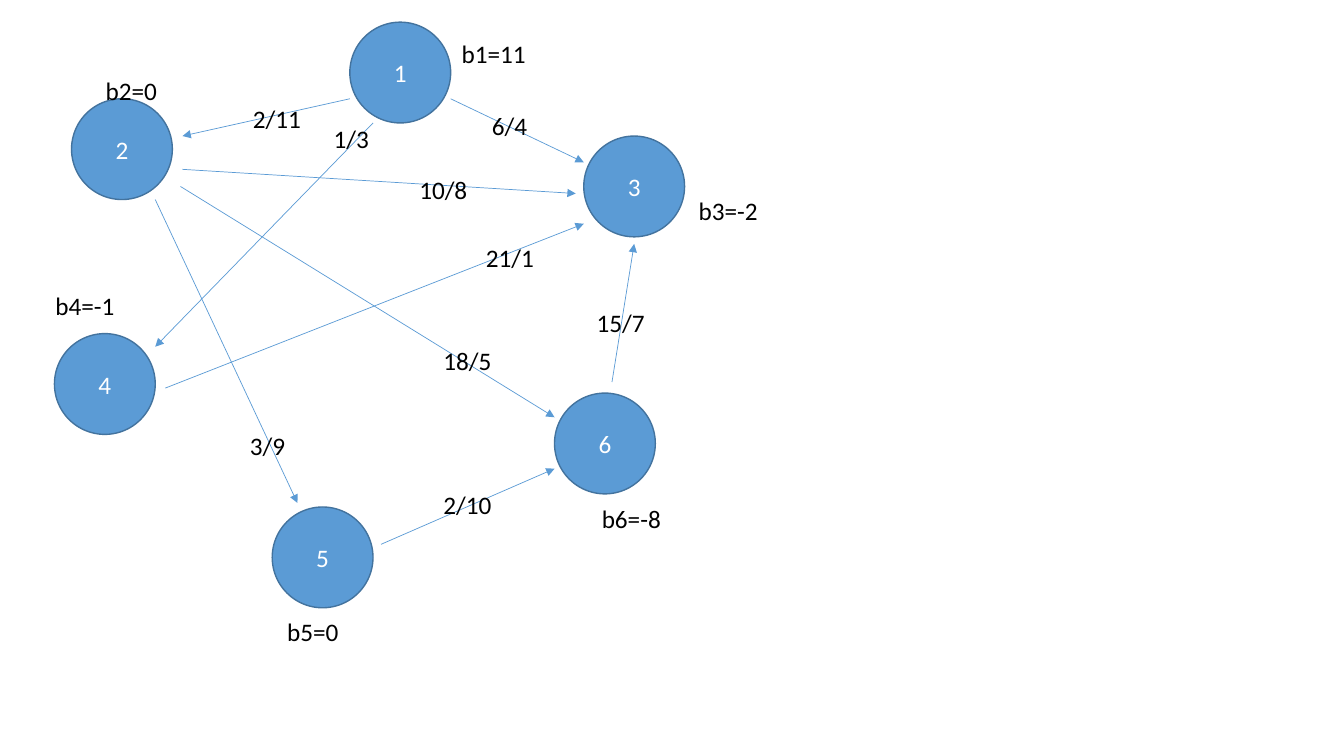
from pptx import Presentation
from pptx.dml.color import RGBColor
from pptx.enum.shapes import MSO_CONNECTOR, MSO_SHAPE
from pptx.enum.text import MSO_ANCHOR, MSO_AUTO_SIZE, PP_ALIGN
from pptx.oxml.ns import qn
from pptx.util import Inches, Pt
from lxml import etree

ELLIPSE, STRAIGHT = MSO_SHAPE.OVAL, MSO_CONNECTOR.STRAIGHT
MIDDLE, CENTER = MSO_ANCHOR.MIDDLE, PP_ALIGN.CENTER
FIT_SHAPE = MSO_AUTO_SIZE.SHAPE_TO_FIT_TEXT
BLUE, OUTLINE, WHITE, BLACK = "5B9BD5", "43739E", "FFFFFF", "000000"
NODE_SIZE, LABEL_HEIGHT = 1, 0.4

# Positions are in inches from the network's top left corner
# Node: number, left, top, balance, then label left, top, width
NODES = [
    ("2", 0.26, 0.76, "b2=0", 0.5, 0.48, 0.72),
    ("6", 5.05, 3.68, "b6=-8", 5.42, 4.72, 0.79),
    ("5", 2.25, 4.81, "b5=0", 2.3, 5.85, 0.72),
    ("4", 0.09, 3.09, "b4=-1", 0, 2.61, 0.79),
    ("3", 5.34, 1.13, "b3=-2", 6.38, 1.67, 0.79),
    ("1", 3.02, 0, "b1=11", 4.03, 0.11, 0.85),
]
# Edge: start, end, cost/capacity, then label left, top, width
EDGES = [
    ((3.02, 0.76), (1.36, 1.13), "2/11", 1.96, 0.76, 0.68),
    ((3.25, 1), (1.09, 3.22), "1/3", 2.76, 0.95, 0.56),
    ((4.02, 0.76), (5.34, 1.39), "6/4", 4.33, 0.83, 0.56),
    ((1.36, 1.46), (5.26, 1.7), "10/8", 3.61, 1.46, 0.68),
    ((1.09, 1.76), (2.5, 4.77), "3/9", 1.93, 4, 0.56),
    ((1.34, 1.63), (5.05, 3.92), "18/5", 3.85, 3.16, 0.68),
    ((1.19, 3.63), (5.34, 2), "21/1", 4.27, 2.13, 0.68),
    ((3.33, 5.18), (5.05, 4.43), "2/10", 3.85, 4.59, 0.68),
    ((5.62, 3.57), (5.84, 2.2), "15/7", 5.37, 2.78, 0.68),
]


def rgb(value):
    return RGBColor.from_string(value)


def write(tf, text, color):
    p = tf.paragraphs[0]
    p.text = text
    p.font.name, p.font.size = "Calibri", Pt(18)
    p.font.color.rgb = rgb(color)
    return p


def add_node(s, number, left, top):
    node = s.shapes.add_shape(ELLIPSE, Inches(left), Inches(top),
                              Inches(NODE_SIZE), Inches(NODE_SIZE))
    node.shadow.inherit = False
    node.fill.solid()
    node.fill.fore_color.rgb = rgb(BLUE)
    node.line.color.rgb = rgb(OUTLINE)
    node.line.width = Pt(1)
    node.text_frame.vertical_anchor = MIDDLE
    write(node.text_frame, number, WHITE).alignment = CENTER


def add_arrow(s, x1, y1, x2, y2):
    arrow = s.shapes.add_connector(STRAIGHT, Inches(x1), Inches(y1),
                                   Inches(x2), Inches(y2))
    arrow.line.color.rgb = rgb(BLUE)
    arrow.line.width = Pt(0.5)
    etree.SubElement(arrow.line._get_or_add_ln(), qn("a:tailEnd"), type="triangle")
    etree.SubElement(arrow._element.spPr, qn("a:effectLst"))


def add_label(s, text, left, top, width):
    box = s.shapes.add_textbox(Inches(left), Inches(top),
                               Inches(width), Inches(LABEL_HEIGHT))
    tf = box.text_frame
    tf.word_wrap = False
    tf.auto_size = FIT_SHAPE
    write(tf, text, BLACK)


def add_network(s, left, top):
    # Numbered nodes
    for number, x, y, *_ in NODES:
        add_node(s, number, left + x, top + y)
    # Directed edges
    for (x1, y1), (x2, y2), *_ in EDGES:
        add_arrow(s, left + x1, top + y1, left + x2, top + y2)
    # Edge labels, then node balances
    for *_, text, x, y, width in EDGES + NODES:
        add_label(s, text, left + x, top + y, width)


def main():
    prs = Presentation()
    prs.slide_width, prs.slide_height = Inches(13.33), Inches(7.5)
    s = prs.slides.add_slide(prs.slide_layouts[6])
    add_network(s, 0.45, 0.22)
    prs.save("out.pptx")


if __name__ == "__main__":
    main()
